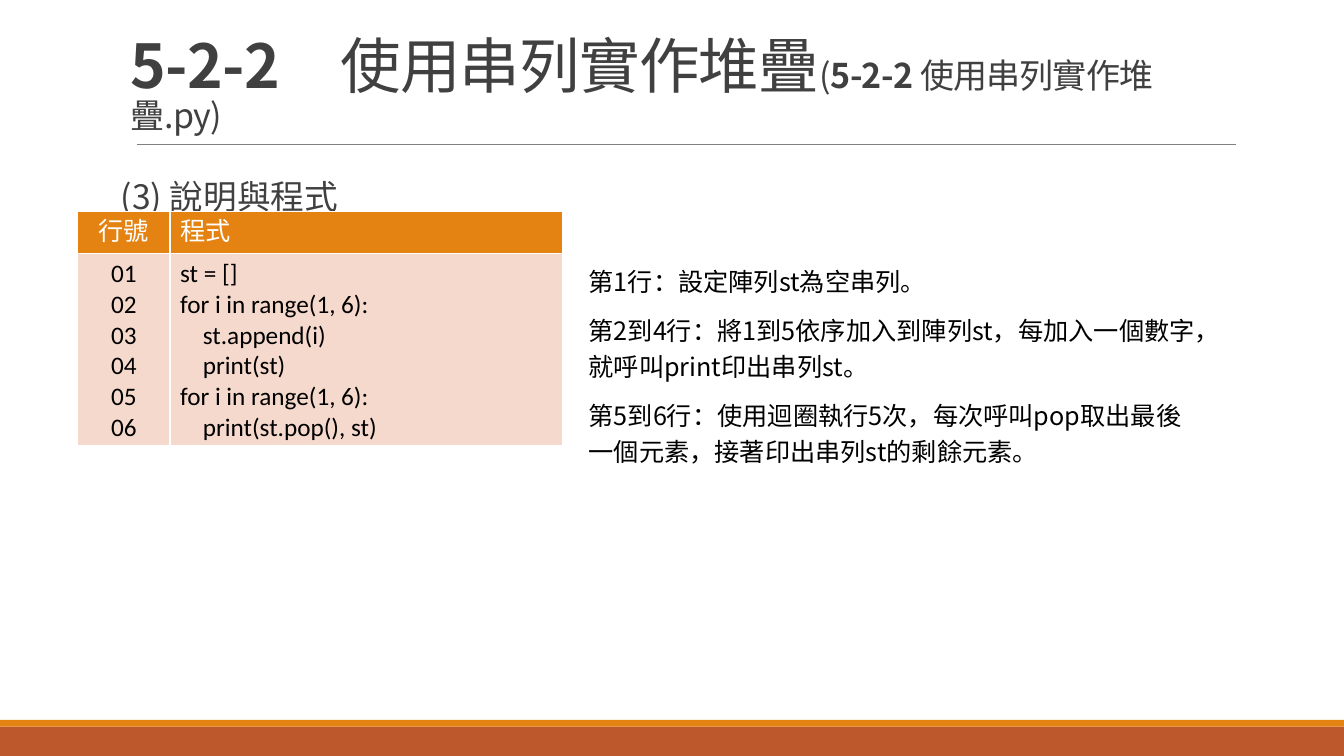
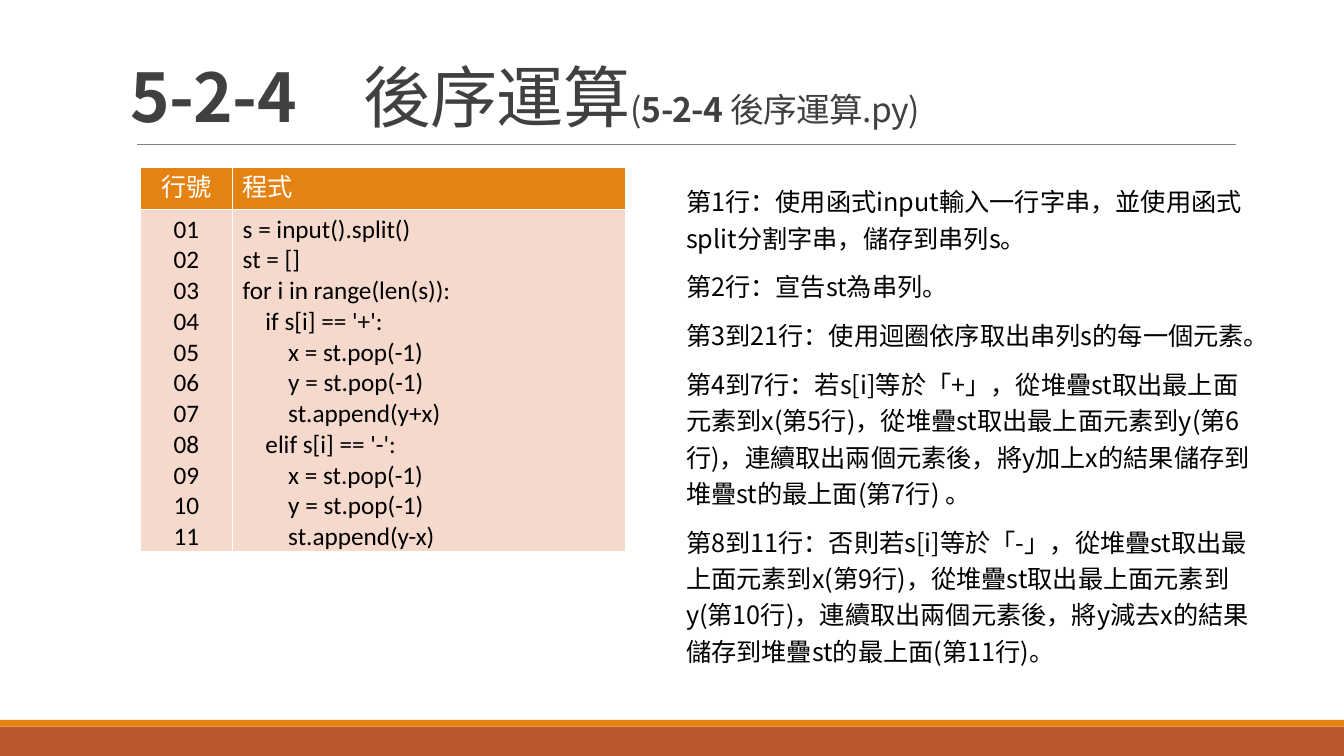
from lxml.etree import SubElement
from pptx import Presentation
from pptx.dml.color import RGBColor
from pptx.enum.shapes import MSO_CONNECTOR, MSO_SHAPE
from pptx.enum.text import MSO_ANCHOR, PP_ALIGN
from pptx.oxml.ns import qn
from pptx.util import Inches, Pt

# Shared look
COLORS = {"rust": "BD582C", "orange": "E48312", "blush": "F5D9CC", "rule": "808080",
          "heading": "404040", "text": "000000", "white": "FFFFFF"}
CJK, CODE = "Noto Sans CJK SC", "Calibri"
STYLES = {
    "title": {"name": CJK, "color": "heading"},
    "subtitle": {"name": CJK, "color": "heading", "size": Pt(24), "bold": False},
    "notes": {"name": CJK, "color": "text", "size": Pt(18), "bold": False},
    "header": {"name": CODE, "color": "white", "size": Pt(18), "bold": False},
    "code": {"name": CODE, "color": "text", "size": Pt(18), "bold": False},
}
PARAGRAPH = {"space_before": Pt(6), "space_after": Pt(3)}

# Grid of 160 columns by 90 rows
prs = Presentation()
prs.slide_width, prs.slide_height = Inches(13.33), Inches(7.5)
COL, ROW = prs.slide_width / 160, prs.slide_height / 90
BANDS = [(86.5, 3.5, "rust"), (85.7, 0.8, "orange")]
RULE_LEFT, RULE_RIGHT, RULE_ROW = 16.3, 147.1, 17.2
TITLE_AREA = (14.4, 3.75, 132, 13)
SUBTITLE_AREA = (14.4, 18, 132, 64.7)
NUMBER_COLS, CODE_COLS, HEADER_ROWS = 11, 46.75, 5

LESSONS = [
    {
        "number": "5-2-2", "topic": "使用串列實作堆疊", "sizes": (43.2, 24.3),
        "subtitle": "(3) 說明與程式",
        "table_at": (9.25, 25.2), "table_rows": 27.75,
        "code": """st = []
for i in range(1, 6):
    st.append(i)
    print(st)
for i in range(1, 6):
    print(st.pop(), st)""",
        "notes_area": (68.9, 30.4, 75.8, 26),
        "notes": [
            "第1行：設定陣列st為空串列。",
            "第2到4行：將1到5依序加入到陣列st，每加入一個數字，就呼叫print印出串列st。",
            "第5到6行：使用迴圈執行5次，每次呼叫pop取出最後一個元素，接著印出串列st的剩餘元素。",
        ],
    },
    {
        "number": "5-2-4", "topic": "後序運算", "sizes": (48, 24),
        "subtitle": None,
        "table_at": (16.7, 19.9), "table_rows": 45.7,
        "code": """s = input().split()
st = []
for i in range(len(s)):
    if s[i] == '+':
        x = st.pop(-1)
        y = st.pop(-1)
        st.append(y+x)
    elif s[i] == '-':
        x = st.pop(-1)
        y = st.pop(-1)
        st.append(y-x)""",
        "notes_area": (80.5, 20.9, 70.6, 59.6),
        "notes": [
            "第1行：使用函式input輸入一行字串，並使用函式split分割字串，儲存到串列s。",
            "第2行：宣告st為串列。",
            "第3到21行：使用迴圈依序取出串列s的每一個元素。",
            "第4到7行：若s[i]等於「+」，從堆疊st取出最上面元素到x(第5行)，從堆疊st取出最上面元素到y(第6行)，"
            "連續取出兩個元素後，將y加上x的結果儲存到堆疊st的最上面(第7行) 。",
            "第8到11行：否則若s[i]等於「-」，從堆疊st取出最上面元素到x(第9行)，從堆疊st取出最上面元素到y(第10行)，"
            "連續取出兩個元素後，將y減去x的結果儲存到堆疊st的最上面(第11行)。",
        ],
    },
]


def add_run(paragraph, text, style, **changes):
    run = paragraph.add_run()
    run.text = text
    for attribute, value in {**STYLES[style], **changes}.items():
        if attribute == "color":
            run.font.color.rgb = RGBColor.from_string(COLORS[value])
        else:
            setattr(run.font, attribute, value)
    properties = run.font._element
    SubElement(properties, qn("a:ea")).set("typeface", STYLES[style]["name"])
    return properties


def add_frame(slide, area, paragraphs=(), style="notes", line_spacing=1.0):
    left, top, width, height = area
    frame = slide.shapes.add_textbox(int(left * COL), int(top * ROW),
                                     int(width * COL), int(height * ROW)).text_frame
    frame.word_wrap = True
    for index, text in enumerate(paragraphs):
        paragraph = frame.add_paragraph() if index else frame.paragraphs[0]
        for attribute, value in PARAGRAPH.items():
            setattr(paragraph, attribute, value)
        if index == 0:
            paragraph.space_before = Pt(0)
        paragraph.line_spacing = line_spacing
        add_run(paragraph, text, style)
    return frame


for lesson in LESSONS:
    slide = prs.slides.add_slide(prs.slide_layouts[6])

    # Bottom bands and rule under the title
    for top, height, color in BANDS:
        band = slide.shapes.add_shape(MSO_SHAPE.RECTANGLE, 0, int(top * ROW),
                                      prs.slide_width, int(height * ROW))
        band.shadow.inherit = False
        band.fill.solid()
        band.fill.fore_color.rgb = RGBColor.from_string(COLORS[color])
        band.line.fill.background()
    rule = slide.shapes.add_connector(MSO_CONNECTOR.STRAIGHT, int(RULE_LEFT * COL), int(RULE_ROW * ROW),
                                      int(RULE_RIGHT * COL), int(RULE_ROW * ROW))
    rule.line.color.rgb = RGBColor.from_string(COLORS["rule"])
    rule.line.width = Pt(0.5)
    SubElement(rule._element.spPr, qn("a:effectLst"))

    # Title, with the file name in smaller type
    title = add_frame(slide, TITLE_AREA)
    title.vertical_anchor = MSO_ANCHOR.BOTTOM
    heading = title.paragraphs[0]
    heading.line_spacing = 0.85
    large, small = lesson["sizes"]
    for text, size, bold in [(lesson["number"] + "　", large, True), (lesson["topic"], large, False),
                             ("(", small, False), (lesson["number"] + " ", small, True),
                             (lesson["topic"] + ".py)", small, False)]:
        add_run(heading, text, "title", size=Pt(size), bold=bold).set("spc", "-50")

    # Subtitle
    if lesson["subtitle"]:
        subtitle = add_frame(slide, SUBTITLE_AREA, [lesson["subtitle"]], "subtitle", 1.5)
        subtitle.margin_left = subtitle.margin_right = 0

    # Code listing with line numbers
    code_lines = lesson["code"].split("\n")
    line_numbers = [f"{number:02}" for number in range(1, len(code_lines) + 1)]
    left, top = lesson["table_at"]
    listing = slide.shapes.add_table(2, 2, int(left * COL), int(top * ROW),
                                     int((NUMBER_COLS + CODE_COLS) * COL),
                                     int(lesson["table_rows"] * ROW)).table
    for column, width in zip(listing.columns, (NUMBER_COLS, CODE_COLS)):
        column.width = int(width * COL)
    for row, height in zip(listing.rows, (HEADER_ROWS, lesson["table_rows"] - HEADER_ROWS)):
        row.height = int(height * ROW)
    contents = [(["行號"], ["程式"]), (line_numbers, code_lines)]
    for r, (style, fill) in enumerate([("header", "orange"), ("code", "blush")]):
        for c, alignment in enumerate([PP_ALIGN.CENTER, PP_ALIGN.LEFT]):
            cell = listing.cell(r, c)
            for side in ("lnL", "lnR", "lnT", "lnB"):
                border = SubElement(cell._tc.get_or_add_tcPr(), qn("a:" + side), w=str(Pt(1)))
                SubElement(SubElement(border, qn("a:solidFill")), qn("a:srgbClr"), val=COLORS["white"])
            cell.fill.solid()
            cell.fill.fore_color.rgb = RGBColor.from_string(COLORS[fill])
            for index, text in enumerate(contents[r][c]):
                line = cell.text_frame.add_paragraph() if index else cell.text_frame.paragraphs[0]
                line.alignment = alignment
                add_run(line, text, style)

    # Explanation of the code
    add_frame(slide, lesson["notes_area"], lesson["notes"], "notes", 1.2)

prs.save("out.pptx")
